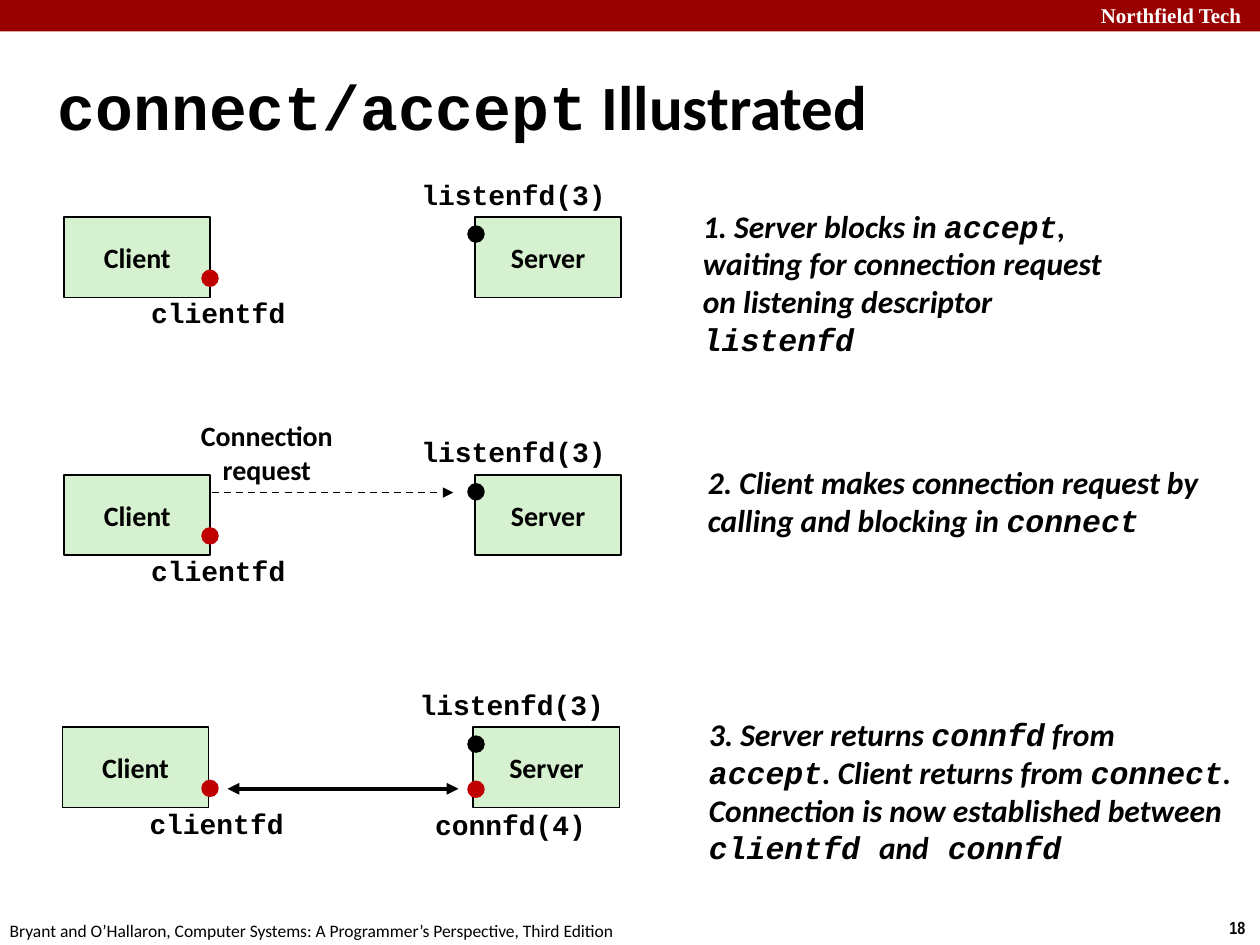
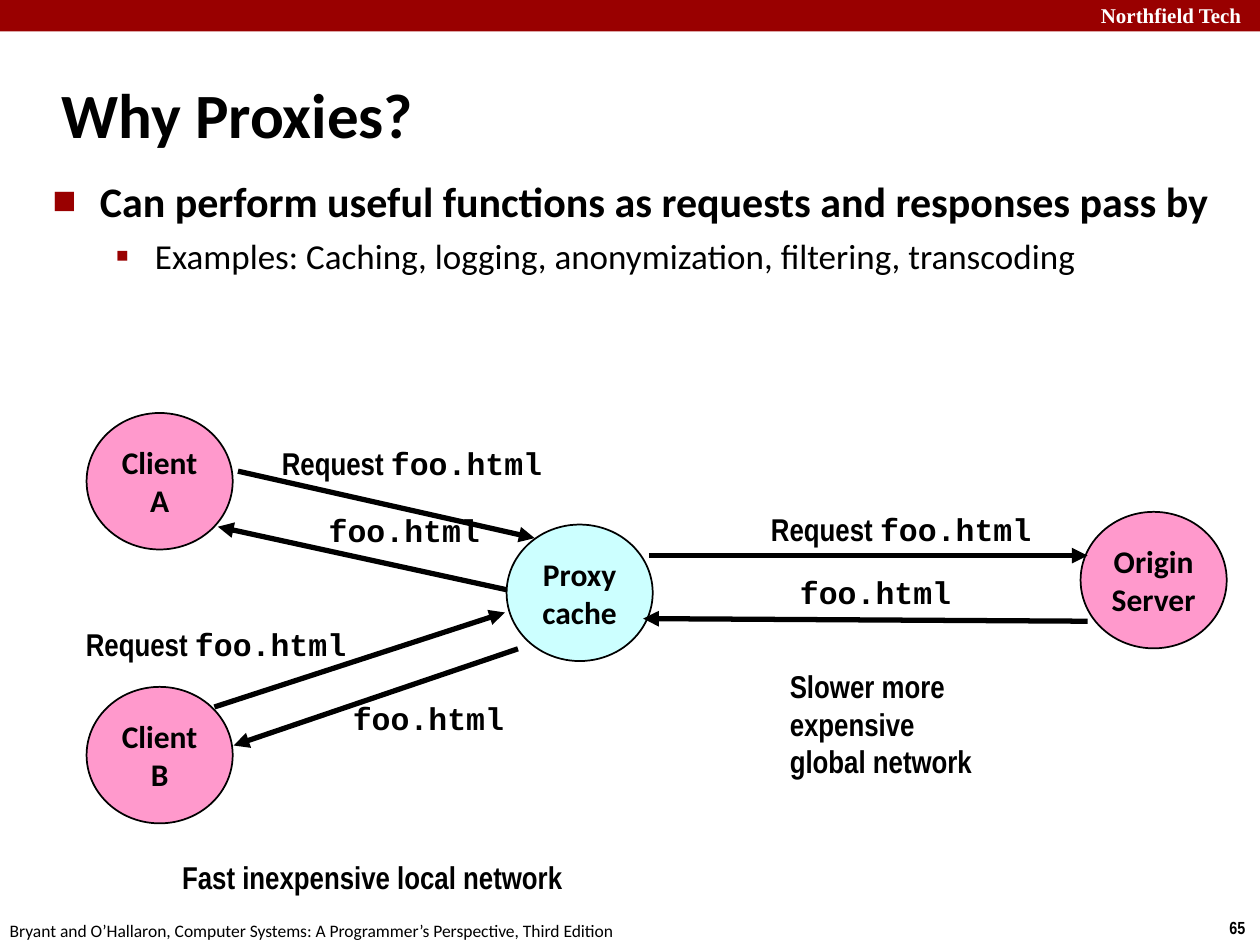
from dataclasses import dataclass

from lxml import etree
from pptx import Presentation
from pptx.dml.color import RGBColor
from pptx.enum import dml, shapes, text
from pptx.oxml import ns
from pptx.util import Pt


@dataclass(frozen=True)
class Theme:
    band: str = "990000"
    ink: str = "000000"
    paper: str = "FFFFFF"
    process: str = "D5F1CF"
    descriptor: str = "C00000"
    host: str = "FF99CC"
    proxy: str = "CCFFFF"
    body_font: str = "Calibri"
    label_font: str = "Arial Narrow"
    code_font: str = "Courier New"
    brand_font: str = "Times New Roman"
    title: int = 36
    bullet: int = 24
    sub_bullet: int = 20
    note: int = 18
    label: int = 16
    brand: int = 12
    footer: int = 10


THEME = Theme()
LEFT, CENTER = text.PP_ALIGN.LEFT, text.PP_ALIGN.CENTER
TOP, MIDDLE = text.MSO_ANCHOR.TOP, text.MSO_ANCHOR.MIDDLE
RECTANGLE, OVAL = shapes.MSO_SHAPE.RECTANGLE, shapes.MSO_SHAPE.OVAL

BOX_WIDTH, BOX_HEIGHT = 83.5, 46
CIRCLE_WIDTH, CIRCLE_HEIGHT = 83.5, 78
DOT = 10


def rgb(color):
    return RGBColor.from_string(color)


def add_spans(para, content, size, font, color, bold, italic):
    """Add runs to a paragraph; parts between backticks use the code font."""
    for index, part in enumerate(content.split("`")):
        if not part:
            continue
        span = para.add_run()
        span.text = part
        span.font.name = THEME.code_font if index % 2 else font
        span.font.size = Pt(size)
        span.font.bold = bold
        span.font.italic = italic
        span.font.color.rgb = rgb(color)


def write(frame, content, size, font=THEME.body_font, color=THEME.ink,
          bold=True, italic=False, align=LEFT, anchor=TOP, wrap=False):
    """Fill a text frame with one paragraph per line of content."""
    frame.word_wrap = wrap
    frame.vertical_anchor = anchor
    for index, line in enumerate(content.split("\n")):
        para = frame.add_paragraph() if index else frame.paragraphs[0]
        para.alignment = align
        add_spans(para, line, size, font, color, bold, italic)


def add_text(page, left, top, width, height, content, size, grow=True, **style):
    box = page.shapes.add_textbox(Pt(left), Pt(top), Pt(width), Pt(height))
    write(box.text_frame, content, size, **style)
    if grow:
        box.text_frame.auto_size = text.MSO_AUTO_SIZE.SHAPE_TO_FIT_TEXT
    return box


def add_filled(page, kind, left, top, width, height, fill, outlined=False):
    shape = page.shapes.add_shape(kind, Pt(left), Pt(top), Pt(width), Pt(height))
    shape.shadow.inherit = False
    shape.fill.solid()
    shape.fill.fore_color.rgb = rgb(fill)
    if outlined:
        shape.line.color.rgb = rgb(THEME.ink)
        shape.line.width = Pt(1)
    else:
        shape.line.fill.background()
    return shape


def add_arrow(page, start, end, width, dashed=False, both_ends=False):
    points = [Pt(value) for value in (*start, *end)]
    arrow = page.shapes.add_connector(shapes.MSO_CONNECTOR.STRAIGHT, *points)
    arrow.line.color.rgb = rgb(THEME.ink)
    arrow.line.width = Pt(width)
    if dashed:
        arrow.line.dash_style = dml.MSO_LINE.DASH
    properties = arrow.element.spPr
    line = properties.find(ns.qn("a:ln"))
    for tag in ("a:headEnd", "a:tailEnd") if both_ends else ("a:tailEnd",):
        etree.SubElement(line, ns.qn(tag), type="triangle")
    etree.SubElement(properties, ns.qn("a:effectLst"))


def add_title(page, left, top, width, height, content):
    add_text(page, left, top, width, height, content, THEME.title,
             grow=False, anchor=MIDDLE, wrap=True)


def add_bullet(para, symbol, percent, margin, hanging):
    para.space_before = Pt(5)
    properties = para._p.get_or_add_pPr()
    properties.set("marL", str(Pt(margin)))
    properties.set("indent", str(-Pt(hanging)))
    color = etree.SubElement(properties, ns.qn("a:buClr"))
    etree.SubElement(color, ns.qn("a:srgbClr"), val=THEME.band)
    etree.SubElement(properties, ns.qn("a:buSzPct"), val=str(percent * 1000))
    etree.SubElement(properties, ns.qn("a:buFont"), typeface=THEME.body_font)
    etree.SubElement(properties, ns.qn("a:buChar"), char=symbol)


def new_page(deck, number):
    """Add a blank page with the shared band and footers."""
    page = deck.slides.add_slide(deck.slide_layouts[6])
    add_filled(page, RECTANGLE, 0, 0, 720, 18, THEME.band)
    add_text(page, 622, -2, 103, 21.5, "Northfield Tech", THEME.brand,
             font=THEME.brand_font, color=THEME.paper, wrap=True)
    add_text(page, 695.5, 520.5, 24.5, 19.5, str(number), THEME.footer,
             font=THEME.label_font)
    add_text(page, -1.5, 522, 366, 19.5,
             "Bryant and O’Hallaron, Computer Systems: "
             "A Programmer’s Perspective, Third Edition",
             THEME.footer, bold=False)
    return page


def add_process(page, left, top, name):
    box = add_filled(page, RECTANGLE, left, top, BOX_WIDTH, BOX_HEIGHT,
                     THEME.process, outlined=True)
    write(box.text_frame, name, THEME.label, align=CENTER, anchor=MIDDLE)


def add_code_label(page, left, top, width, name):
    add_text(page, left, top, width, 26.5, f"`{name}`", THEME.label,
             align=CENTER, anchor=MIDDLE)


def add_dot(page, left, top, color):
    add_filled(page, OVAL, left, top, DOT, DOT, color)


def add_step(page, top, shift=0):
    """Draw a client and a server with their descriptors."""
    add_process(page, 36.75 + shift, top, "Client")
    add_process(page, 271.5 + shift, top, "Server")
    add_code_label(page, 233.5 + shift, top - 26.5, 120, "listenfd(3)")
    add_code_label(page, 79 + shift, top + 41.5, 91.5, "clientfd")
    add_dot(page, 115, top + 30, THEME.descriptor)
    add_dot(page, 267, top + 4.75, THEME.ink)


def add_explanation(page, left, top, width, height, content):
    add_text(page, left, top, width, height, content, THEME.note,
             italic=True, anchor=MIDDLE, wrap=True)


def add_host(page, left, top, name, fill=THEME.host):
    circle = add_filled(page, OVAL, left, top, CIRCLE_WIDTH, CIRCLE_HEIGHT,
                        fill, outlined=True)
    write(circle.text_frame, name, THEME.note, align=CENTER, anchor=MIDDLE)


def add_message(page, start, end, left, top, content):
    """Draw an arrow with its message label."""
    add_arrow(page, start, end, 3)
    width = 164 if content.startswith("Request") else 101.5
    add_text(page, left, top, width, 29, content, THEME.note,
             font=THEME.label_font)


def build_connect_page(deck):
    page = new_page(deck, 18)
    add_title(page, 26, 37.5, 660, 45.5, "`connect/accept` Illustrated")

    blocked, requesting, connected = 124, 271.25, 415.5
    add_step(page, blocked)
    add_step(page, requesting)
    add_step(page, connected, shift=-1)

    add_arrow(page, (121, requesting + 10.25), (259, requesting + 10.25), 1,
              dashed=True)
    add_text(page, 107, 235.5, 91, 46, "Connection\nrequest", THEME.label,
             align=CENTER, anchor=MIDDLE)

    add_dot(page, 267, connected + 30.5, THEME.descriptor)
    add_code_label(page, 241.5, connected + 42.5, 100.5, "connfd(4)")
    add_arrow(page, (130, connected + 35.25), (262, connected + 35.25), 2.25,
              both_ends=True)

    add_explanation(page, 394.5, 114.5, 259, 93.5,
                    "1. Server blocks in `accept`, waiting for connection "
                    "request on listening descriptor `listenfd`")
    add_explanation(page, 397.5, 260.5, 304.5, 51,
                    "2. Client makes connection request by calling and "
                    "blocking in `connect`")
    add_explanation(page, 398, 404.5, 316, 94.5,
                    "3. Server returns `connfd` from `accept`. Client returns "
                    "from `connect`. Connection is now established between "
                    "`clientfd `and` connfd`")


def build_proxy_page(deck):
    page = new_page(deck, 65)
    add_title(page, 28, 34.5, 598, 60, "Why Proxies?")

    body = add_text(page, 23, 96.5, 679, 130,
                    "Can perform useful functions as requests and responses "
                    "pass by", THEME.bullet, grow=False, wrap=True)
    add_bullet(body.text_frame.paragraphs[0], "■", 60, 27, 27)
    examples = body.text_frame.add_paragraph()
    examples.level = 1
    add_spans(examples, "Examples: Caching, logging, anonymization, "
              "filtering, transcoding", THEME.sub_bullet, THEME.body_font,
              THEME.ink, False, False)
    add_bullet(examples, "▪", 110, 58.5, 22.5)

    add_host(page, 49.5, 236, "Client\nA")
    add_host(page, 49.5, 392.5, "Client\nB")
    add_host(page, 289.5, 299.75, "Proxy\ncache", THEME.proxy)
    add_host(page, 617.5, 292.5, "Origin\nServer")

    request, reply = "Request `foo.html`", "`foo.html`"
    messages = [
        ((136, 269.25), (305.5, 307.5), 154, 250, request),
        ((370.75, 317.5), (621.5, 317.5), 433.5, 288, request),
        ((621.5, 355), (367.5, 353.5), 450, 324, reply),
        ((289.5, 337), (124.5, 301), 180.75, 288.5, reply),
        ((122.5, 404), (288.5, 350), 42, 353.5, request),
        ((296, 370.75), (133.5, 426), 194.5, 396, reply),
    ]
    for message in messages:
        add_message(page, *message)

    add_text(page, 97, 486.5, 235, 29, "Fast inexpensive local network",
             THEME.note, font=THEME.label_font)
    add_text(page, 444.25, 377.5, 133, 72.5,
             "Slower more\nexpensive\nglobal network", THEME.note,
             font=THEME.label_font, wrap=True)


def main():
    deck = Presentation()
    deck.slide_width, deck.slide_height = Pt(720), Pt(540)
    build_connect_page(deck)
    build_proxy_page(deck)
    deck.save("out.pptx")


if __name__ == "__main__":
    main()
